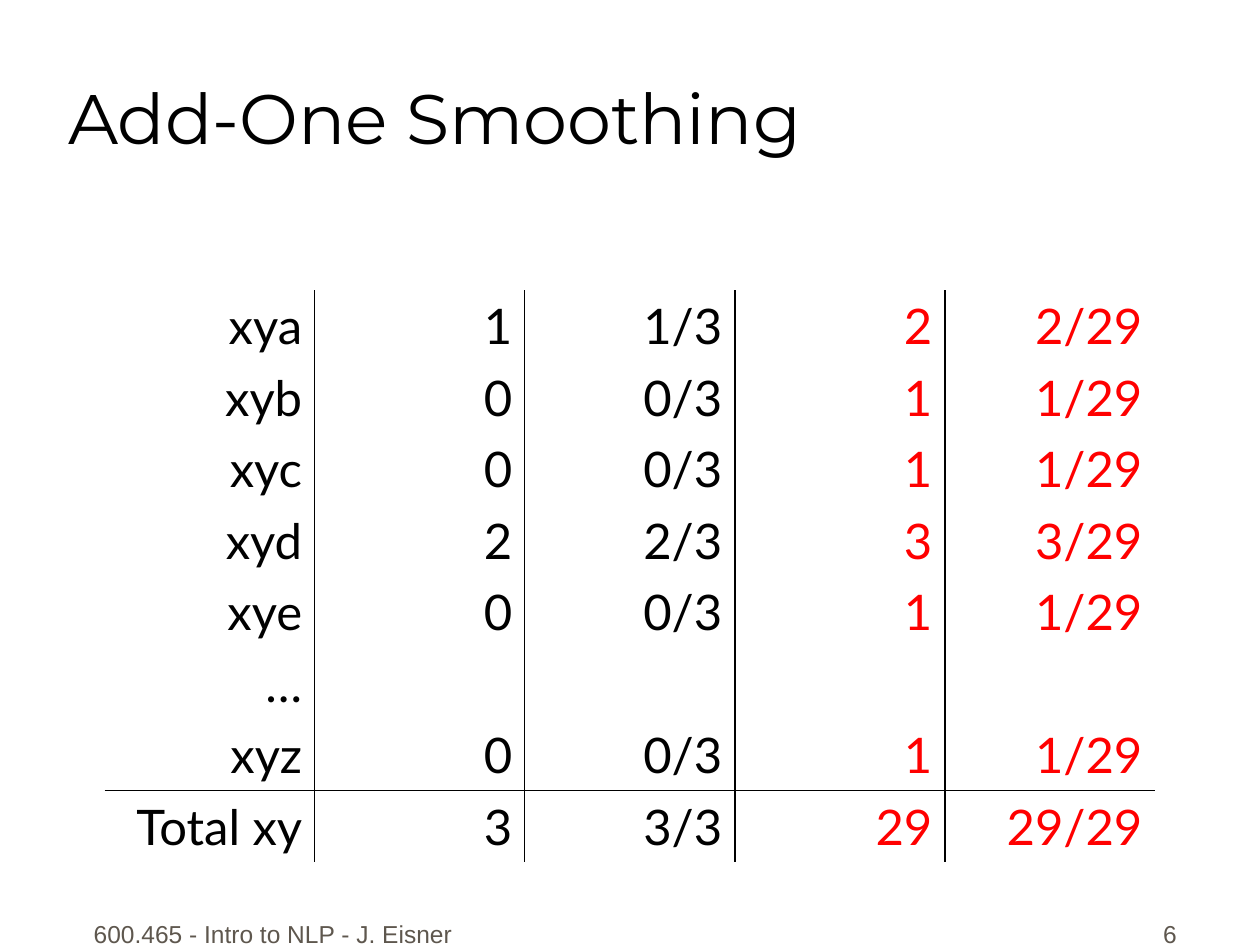
"""Build the Add-One Smoothing slide."""
from dataclasses import dataclass

from lxml.etree import SubElement
from pptx import Presentation
from pptx.dml.color import RGBColor
from pptx.enum.text import MSO_ANCHOR, MSO_AUTO_SIZE, PP_ALIGN
from pptx.oxml.ns import qn
from pptx.util import Cm, Pt


@dataclass(frozen=True)
class Style:
    """Typeface, size in points and colour of a run."""
    font: str
    size: int
    color: str


@dataclass(frozen=True)
class Theme:
    """Colours and type sizes of the slide."""
    title: Style = Style("Montserrat", 40, "000000")
    count: Style = Style("Lato", 28, "000000")
    smoothed: Style = Style("Lato", 28, "FF0000")
    footer: Style = Style("Arial", 14, "5E574E")
    rule: str = "000000"
    rule_width: int = Pt(1)


@dataclass(frozen=True)
class Box:
    """Position and size in centimetres."""
    left: float
    top: float
    width: float
    height: float

    def emu(self) -> tuple:
        """Return the four lengths for python-pptx."""
        return Cm(self.left), Cm(self.top), Cm(self.width), Cm(self.height)


@dataclass(frozen=True)
class Footer:
    """A text at the foot of the slide."""
    text: str
    box: Box
    align: PP_ALIGN


THEME = Theme()
TITLE_BOX = Box(1.12, 0.15, 21.59, 3.18)
TABLE_BOX = Box(2.11, 5.85, 21.17, 11.52)
FOOTERS = (
    Footer("600.465 - Intro to NLP - J. Eisner", Box(1.48, 17.98, 8.05, 1.27), PP_ALIGN.CENTER),
    Footer("6", Box(18.69, 17.98, 5.28, 1.27), PP_ALIGN.RIGHT),
)
ROWS = (
    ("xya", "1", "1/3", "2", "2/29"),
    ("xyb", "0", "0/3", "1", "1/29"),
    ("xyc", "0", "0/3", "1", "1/29"),
    ("xyd", "2", "2/3", "3", "3/29"),
    ("xye", "0", "0/3", "1", "1/29"),
    ("…", "", "", "", ""),
    ("xyz", "0", "0/3", "1", "1/29"),
    ("Total xy", "3", "3/3", "29", "29/29"),
)
FIRST_SMOOTHED = 3


def add_text(tf, text: str, style: Style, align: PP_ALIGN) -> None:
    """Write one aligned run into the first paragraph."""
    p = tf.paragraphs[0]
    p.alignment = align
    r = p.add_run()
    r.text = text
    r.font.name = style.font
    r.font.size = Pt(style.size)
    r.font.color.rgb = RGBColor.from_string(style.color)


def add_title(s, text: str) -> None:
    """Place and fill the title placeholder."""
    sp = s.shapes.title
    sp.left, sp.top, sp.width, sp.height = TITLE_BOX.emu()
    tf = sp.text_frame
    tf.auto_size = MSO_AUTO_SIZE.NONE
    tf.vertical_anchor = MSO_ANCHOR.BOTTOM
    add_text(tf, text, THEME.title, PP_ALIGN.LEFT)


def add_footer(s, footer: Footer) -> None:
    """Add a footer text box."""
    tf = s.shapes.add_textbox(*footer.box.emu()).text_frame
    tf.word_wrap = True
    tf.vertical_anchor = MSO_ANCHOR.BOTTOM
    add_text(tf, footer.text, THEME.footer, footer.align)


def set_borders(cell, sides: dict) -> None:
    """Draw the sides that are true and clear the others."""
    tc_pr = cell._tc.get_or_add_tcPr()
    for side, visible in sides.items():
        ln = SubElement(tc_pr, qn(f"a:ln{side}"), w=str(THEME.rule_width))
        if visible:
            fill = SubElement(ln, qn("a:solidFill"))
            SubElement(fill, qn("a:srgbClr"), val=THEME.rule)
        else:
            SubElement(ln, qn("a:noFill"))


def add_counts(s, rows: tuple) -> None:
    """Add the table of raw and smoothed counts."""
    n_rows, n_cols = len(rows), len(rows[0])
    table = s.shapes.add_table(n_rows, n_cols, *TABLE_BOX.emu()).table
    table.first_row = table.horz_banding = False
    for row in table.rows:
        row.height = Cm(TABLE_BOX.height / n_rows)
    for i, values in enumerate(rows):
        for j, value in enumerate(values):
            cell = table.cell(i, j)
            set_borders(cell, {"L": j > 0, "R": j < n_cols - 1,
                               "T": i == n_rows - 1, "B": i == n_rows - 2})
            cell.fill.background()
            if value:
                style = THEME.smoothed if j >= FIRST_SMOOTHED else THEME.count
                add_text(cell.text_frame, value, style, PP_ALIGN.RIGHT)


def main() -> None:
    """Build and save the slide."""
    prs = Presentation()
    prs.slide_width, prs.slide_height = Cm(25.4), Cm(19.05)
    s = prs.slides.add_slide(prs.slide_layouts[5])
    for footer in FOOTERS:
        add_footer(s, footer)
    add_title(s, "Add-One Smoothing")
    add_counts(s, ROWS)
    prs.save("out.pptx")


if __name__ == "__main__":
    main()
